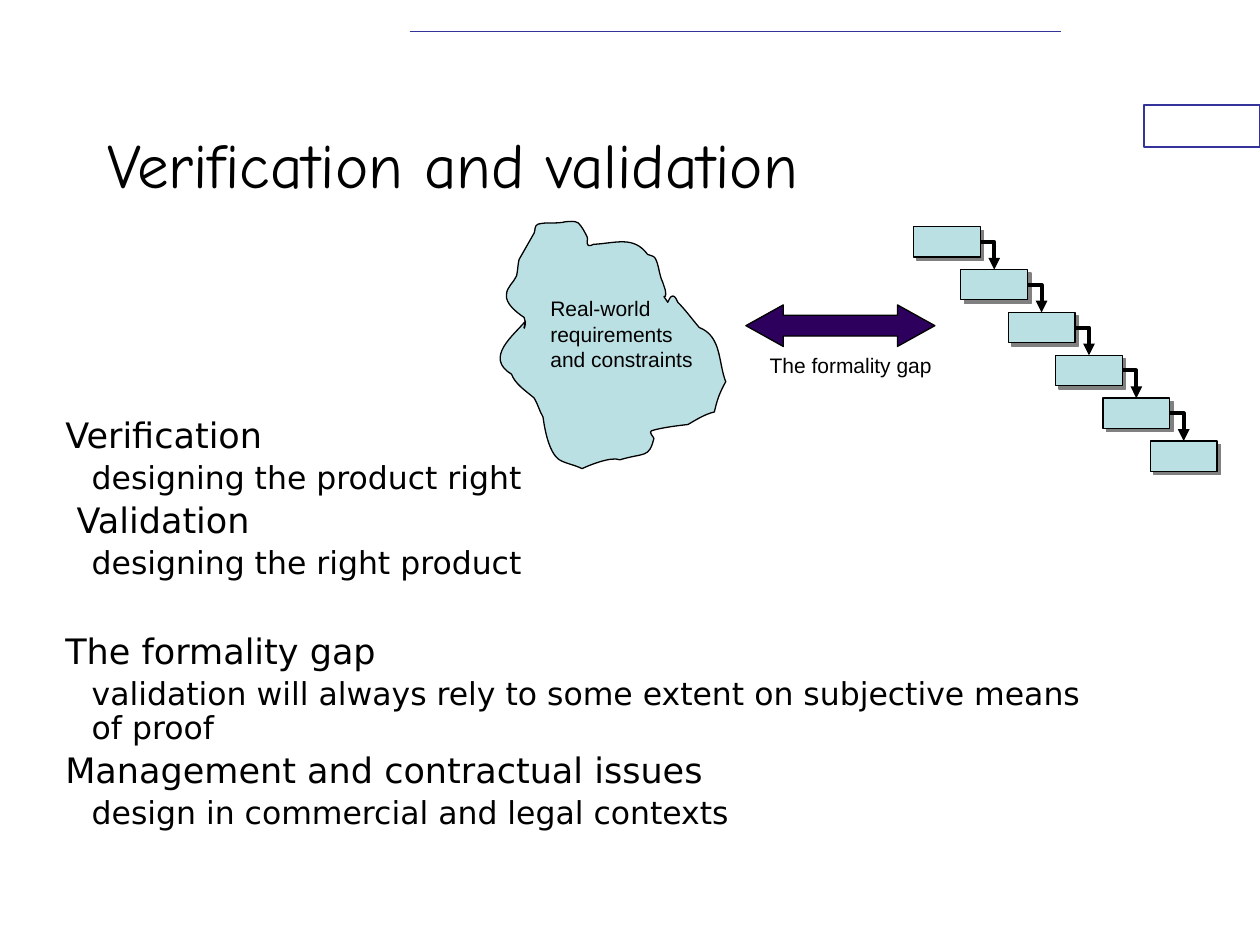
from lxml import etree
from pptx import Presentation, util as u
from pptx.dml import color
from pptx.enum import shapes, text
from pptx.oxml import ns

BLACK, NAVY, PALE, PURPLE = "000000", "333399", "BBE0E3", "2E005D"
STEPS, STEP_X, STEP_Y = 6, 1.88 / 5, 1.7 / 5
CLOUD_START = (4.17, 2.55)
# Each curve: two control points, then the end point.
CLOUD_CURVES = [
    (4.08, 2.66, 3.84, 2.84, 4.06, 2.97), (4.09, 3.05, 4.17, 3.1, 4.24, 3.16),
    (4.27, 3.21, 4.28, 3.26, 4.31, 3.31), (4.32, 3.38, 4.35, 3.59, 4.44, 3.65),
    (4.49, 3.68, 4.56, 3.69, 4.62, 3.72), (4.66, 3.7, 4.85, 3.62, 4.92, 3.65),
    (5.12, 3.59, 5.15, 3.64, 5.19, 3.48), (5.18, 3.46, 5.15, 3.43, 5.17, 3.42),
    (5.26, 3.39, 5.46, 3.37, 5.46, 3.37), (5.53, 3.33, 5.59, 3.29, 5.67, 3.27),
    (5.69, 3.18, 5.71, 3.12, 5.76, 3.03), (5.7, 2.88, 5.73, 2.67, 5.55, 2.6),
    (5.49, 2.53, 5.44, 2.46, 5.38, 2.4), (5.37, 2.38, 5.36, 2.35, 5.34, 2.35),
    (5.32, 2.35, 5.31, 2.38, 5.3, 2.4), (5.23, 2.29, 5.3, 2.42, 5.28, 2.3),
    (5.28, 2.28, 5.26, 2.26, 5.26, 2.24), (5.23, 2.18, 5.23, 2.1, 5.2, 2.05),
    (5.19, 2.03, 5.16, 2.03, 5.14, 2.02), (5.03, 1.87, 4.89, 1.93, 4.71, 1.94),
    (4.7, 1.94, 4.68, 1.96, 4.67, 1.95), (4.65, 1.93, 4.67, 1.9, 4.66, 1.88),
    (4.64, 1.84, 4.62, 1.8, 4.59, 1.77), (4.56, 1.75, 4.52, 1.76, 4.49, 1.76),
    (4.42, 1.78, 4.34, 1.76, 4.27, 1.78), (4.24, 1.79, 4.25, 1.83, 4.24, 1.85),
    (4.2, 1.92, 4.16, 1.99, 4.12, 2.06), (4.11, 2.1, 4.11, 2.15, 4.1, 2.19),
    (4.08, 2.24, 4.02, 2.28, 4.02, 2.34), (4.01, 2.41, 4.1, 2.48, 4.16, 2.52),
    (4.16, 2.53, 4.17, 2.55, 4.17, 2.56), (4.17, 2.58, 4.16, 2.62, 4.16, 2.6),
    (4.16, 2.59, 4.17, 2.57, 4.17, 2.55),
]
# Text, size, left indent in inches, space before in points.
BODY = [
    ("Verification", 20, 0, 4),
    ("designing the product right", 18, 0.21, 3.6),
    ("Validation", 20, 0.09, 4),
    ("designing the right product", 18, 0.21, 3.6),
    ("The formality gap", 20, 0, 30),
    ("validation will always rely to some extent on subjective means of proof", 18, 0.21, 3.6),
    ("Management and contractual issues", 20, 0, 4),
    ("design in commercial and legal contexts", 18, 0.21, 3.6),
]


def rgb(value):
    return color.RGBColor.from_string(value)


def inches(*lengths):
    return [u.Inches(length) for length in lengths]


def write(para, words, size, font, indent=0, before=0, spacing=1.0):
    span = para.add_run()
    span.text = words
    span.font.size, span.font.name = u.Pt(size), font
    span.font.color.rgb = rgb(BLACK)
    para.alignment = text.PP_ALIGN.LEFT
    para.space_before, para.line_spacing = u.Pt(before), spacing
    para._p.get_or_add_pPr().set("marL", str(u.Inches(indent)))


def add_text(slide, at, lines, wrap=False, **formats):
    """Each line is (words, size, indent, space before)."""
    frame = slide.shapes.add_textbox(*inches(*at)).text_frame
    frame.word_wrap = wrap
    for number, (words, size, indent, before) in enumerate(lines):
        para = frame.add_paragraph() if number else frame.paragraphs[0]
        write(para, words, size, indent=indent, before=before, **formats)


def paint(shape, fill, line=BLACK):
    shape.shadow.inherit = False
    shape.fill.solid()
    shape.fill.fore_color.rgb = rgb(fill)
    shape.line.color.rgb = rgb(line)
    shape.line.width = u.Pt(0.75)


def add_box(slide, at, fill, kind=shapes.MSO_SHAPE.RECTANGLE, line=BLACK):
    box = slide.shapes.add_shape(kind, *inches(*at))
    paint(box, fill, line)
    return box


def add_line(slide, kind, ends, line, width):
    connector = slide.shapes.add_connector(kind, *inches(*ends))
    connector.line.color.rgb = rgb(line)
    connector.line.width = u.Pt(width)
    etree.SubElement(connector._element.spPr, ns.qn("a:effectLst"))
    return connector


def drop_shadow(shape):
    effects = shape._element.spPr.find(ns.qn("a:effectLst"))
    shadow = etree.SubElement(effects, ns.qn("a:outerShdw"), dist=str(u.Pt(2.8)),
                              dir="2700000", algn="ctr", rotWithShape="0")
    etree.SubElement(shadow, ns.qn("a:srgbClr"), val="808080")


def add_staircase(slide):
    boxes = [add_box(slide, (7.25 + i * STEP_X, 1.8 + i * STEP_Y, 0.53, 0.24), PALE)
             for i in range(STEPS)]
    for box in boxes:
        drop_shadow(box)
    for box, following in zip(boxes, boxes[1:]):
        arrow = add_line(slide, shapes.MSO_CONNECTOR.ELBOW, (0, 0, 0, 0), BLACK, 2.25)
        arrow.begin_connect(box, 3)
        arrow.end_connect(following, 0)
        arrow._element.spPr.find(ns.qn("a:prstGeom")).set("prst", "bentConnector2")
        etree.SubElement(arrow.line._get_or_add_ln(), ns.qn("a:tailEnd"), type="triangle")


def add_cloud(slide):
    """Outline the cloud by its end points, then bend each side."""
    builder = slide.shapes.build_freeform(*inches(*CLOUD_START))
    builder.add_line_segments([inches(*curve[4:]) for curve in CLOUD_CURVES], close=True)
    cloud = builder.convert_to_shape()
    sides = list(cloud._element.iter(ns.qn("a:lnTo")))
    for side, curve in zip(sides, CLOUD_CURVES):
        side.tag = ns.qn("a:cubicBezTo")
        side.remove(side[0])
        for x, y in zip(inches(*curve[::2]), inches(*curve[1::2])):
            etree.SubElement(side, ns.qn("a:pt"), x=str(x - cloud.left), y=str(y - cloud.top))
    paint(cloud, PALE)


def set_title(slide, words):
    title = slide.shapes.title
    title.left, title.top, title.width, title.height = inches(0.75, 0.67, 7.5, 1.25)
    title.text_frame.vertical_anchor = text.MSO_ANCHOR.MIDDLE
    write(title.text_frame.paragraphs[0], words, 36, "Comic Neue")


def main():
    deck = Presentation()
    deck.slide_width, deck.slide_height = inches(10, 7.5)
    slide = deck.slides.add_slide(deck.slide_layouts[5])
    add_box(slide, (9.08, 5 / 6, 0.92, 1 / 3), "FFFFFF", line=NAVY)
    add_line(slide, shapes.MSO_CONNECTOR.STRAIGHT, (3.25, 0.25, 8.42, 0.25), NAVY, 1)
    set_title(slide, "Verification and validation")
    add_text(slide, (0.42, 3.27, 8.5, 3.4), BODY, wrap=True, font="DejaVu Sans", spacing=0.9)
    add_staircase(slide)
    add_cloud(slide)
    need = ("Real-world", "requirements", "and constraints")
    add_text(slide, (4.27, 2.3, 1.33, 0.7), [(line, 12, 0, 0) for line in need], font="Arial")
    gap = add_box(slide, (5.92, 2.42, 1.5, 0.33), PURPLE, shapes.MSO_SHAPE.LEFT_RIGHT_ARROW)
    gap.adjustments[0], gap.adjustments[1] = 0.5, 0.9
    add_text(slide, (6.01, 2.75, 1.49, 0.3), [("The formality gap", 12, 0, 0)], font="Arial")
    deck.save("out.pptx")


if __name__ == "__main__":
    main()
